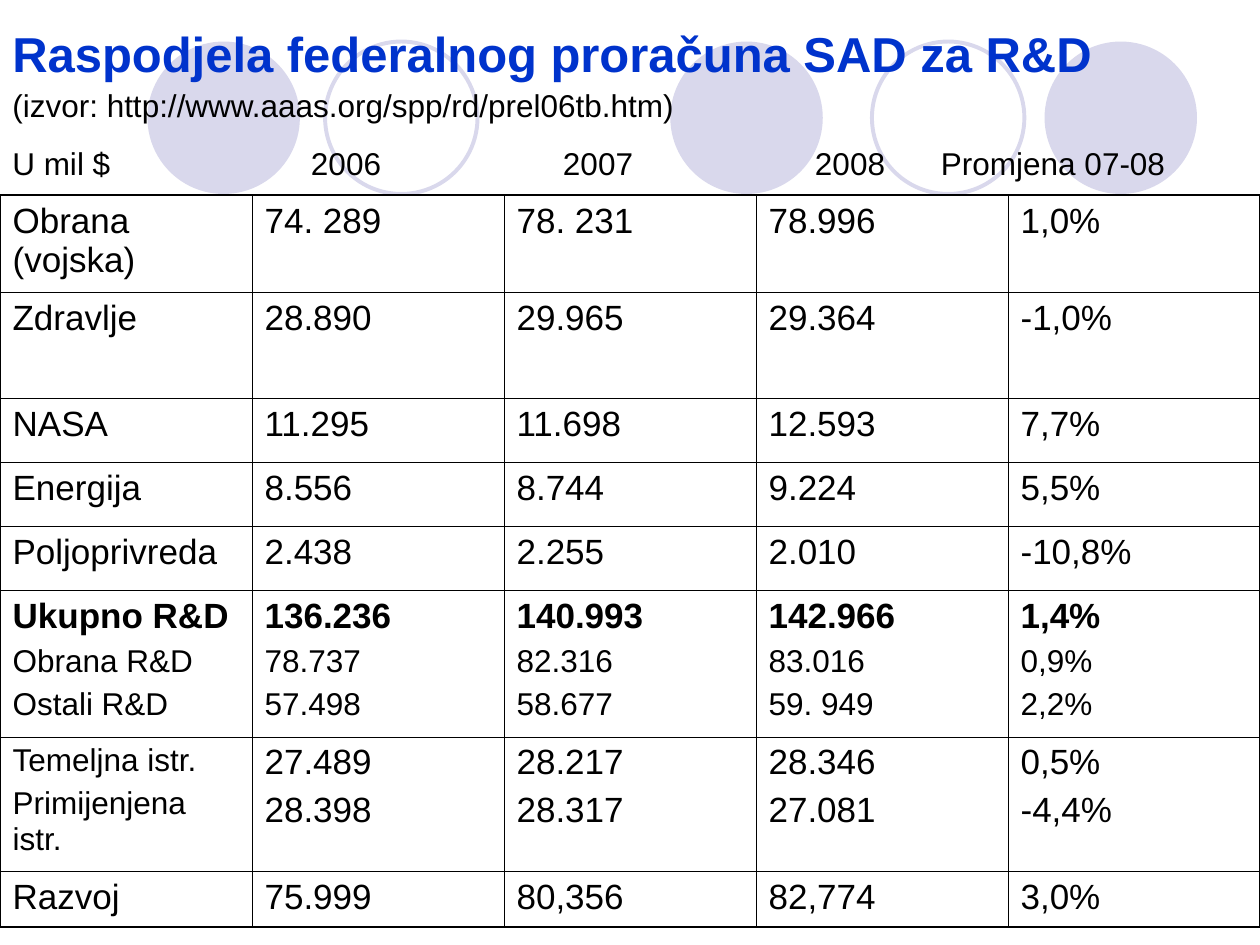
from dataclasses import dataclass

from lxml import etree
from pptx import Presentation
from pptx.dml.color import RGBColor
from pptx.enum.shapes import MSO_SHAPE
from pptx.oxml.ns import qn
from pptx.util import Inches, Pt


@dataclass(frozen=True)
class Theme:
    font: str = "Arial"
    title_color: str = "0033CC"
    text_color: str = "000000"
    circle_color: str = "D9D8EC"
    title_size: int = 28
    title_line_size: int = 38
    body_size: int = 20
    small_size: int = 18
    outer_border: float = 1.08
    inner_border: float = 0.45


THEME = Theme()


def style_font(font, size, color=THEME.text_color, bold=False):
    font.name = THEME.font
    font.size = Pt(size)
    font.bold = bold
    font.color.rgb = RGBColor.from_string(color)


def set_borders(cell, widths):
    """Draw the left, right, top and bottom borders with widths in points."""
    properties = cell._tc.get_or_add_tcPr()
    for position, (side, width) in enumerate(zip("LRTB", widths)):
        line = etree.Element(qn(f"a:ln{side}"), w=str(Pt(width)))
        fill = etree.SubElement(line, qn("a:solidFill"))
        etree.SubElement(fill, qn("a:srgbClr"), val=THEME.text_color)
        properties.insert(position, line)


presentation = Presentation()
presentation.slide_width = Inches(10)
presentation.slide_height = Inches(7.5)
slide = presentation.slides.add_slide(presentation.slide_layouts[6])

# Background circles: left edge and whether filled
circle_color = RGBColor.from_string(THEME.circle_color)
for left, filled in [(1.17, True), (2.58, False), (5.32, True), (6.92, False), (8.29, True)]:
    circle = slide.shapes.add_shape(
        MSO_SHAPE.OVAL, Inches(left), Inches(0.33), Inches(1.21), Inches(1.21)
    )
    circle.shadow.inherit = False
    if filled:
        circle.fill.solid()
        circle.fill.fore_color.rgb = circle_color
        circle.line.fill.background()
    else:
        circle.fill.background()
        circle.line.color.rgb = circle_color
        circle.line.width = Pt(2.25)

# Title and source
title_box = slide.shapes.add_textbox(0, 0, Inches(10), Inches(0.91))
title_box.text_frame.word_wrap = True
paragraph = title_box.text_frame.paragraphs[0]
for text, size, color, bold in [
    ("Raspodjela federalnog proračuna SAD za R&D", THEME.title_size, THEME.title_color, True),
    (" ", THEME.title_line_size, THEME.title_color, False),
    ("(izvor: http://www.aaas.org/spp/rd/prel06tb.htm)", THEME.small_size, THEME.text_color, False),
]:
    if text.startswith("("):
        paragraph.add_line_break()
    run = paragraph.add_run()
    run.text = text
    style_font(run.font, size, color, bold)

# Column headings above the table, set on tab stops
heading_box = slide.shapes.add_textbox(0, Inches(1.09), Inches(10), Inches(0.45))
heading_box.text_frame.word_wrap = True
paragraph = heading_box.text_frame.paragraphs[0]
paragraph.text = "U mil $\t2006\t2007\t2008\tPromjena 07-08"
tab_list = etree.SubElement(paragraph._p.get_or_add_pPr(), qn("a:tabLst"))
for stop in (2.37, 4.37, 6.37, 7.37):
    etree.SubElement(tab_list, qn("a:tab"), pos=str(Inches(stop)), algn="l")
for run in paragraph.runs:
    style_font(run.font, THEME.small_size)

# Budget table: row height and cells, with one line per paragraph
BUDGET = [
    (0.77, ["Obrana (vojska)", "74. 289", "78. 231", "78.996", "1,0%"]),
    (0.84, ["Zdravlje", "28.890", "29.965", "29.364", "-1,0%"]),
    (0.51, ["NASA", "11.295", "11.698", "12.593", "7,7%"]),
    (0.51, ["Energija", "8.556", "8.744", "9.224", "5,5%"]),
    (0.51, ["Poljoprivreda", "2.438", "2.255", "2.010", "-10,8%"]),
    (1.16, ["Ukupno R&D\nObrana R&D\nOstali R&D", "136.236\n78.737\n57.498",
            "140.993\n82.316\n58.677", "142.966\n83.016\n59. 949", "1,4%\n0,9%\n2,2%"]),
    (1.07, ["Temeljna istr.\nPrimijenjena istr.", "27.489\n28.398", "28.217\n28.317",
            "28.346\n27.081", "0,5%\n-4,4%"]),
    (0.44, ["Razvoj", "75.999", "80,356", "82,774", "3,0%"]),
]
TOTAL_ROW, RESEARCH_ROW = 5, 6
last_row, last_column = len(BUDGET) - 1, 4

table = slide.shapes.add_table(
    len(BUDGET), 5, 0, Inches(1.55), Inches(10), Inches(5.79)
).table
table.first_row = False
table.horz_banding = False
for column in table.columns:
    column.width = Inches(2)

for row_index, (height, texts) in enumerate(BUDGET):
    table.rows[row_index].height = Inches(height)
    for column_index, text in enumerate(texts):
        cell = table.cell(row_index, column_index)
        cell.text_frame.text = text
        cell.fill.background()
        on_edge = (column_index == 0, column_index == last_column,
                   row_index == 0, row_index == last_row)
        set_borders(cell, [THEME.outer_border if edge else THEME.inner_border for edge in on_edge])
        for line_index, paragraph in enumerate(cell.text_frame.paragraphs):
            is_small = (row_index == TOTAL_ROW and line_index > 0) or (
                row_index == RESEARCH_ROW and column_index == 0)
            size = THEME.small_size if is_small else THEME.body_size
            if line_index > 0:
                paragraph.space_before = Pt(size / 4)
            for run in paragraph.runs:
                style_font(run.font, size, bold=row_index == TOTAL_ROW and line_index == 0)

presentation.save("out.pptx")
